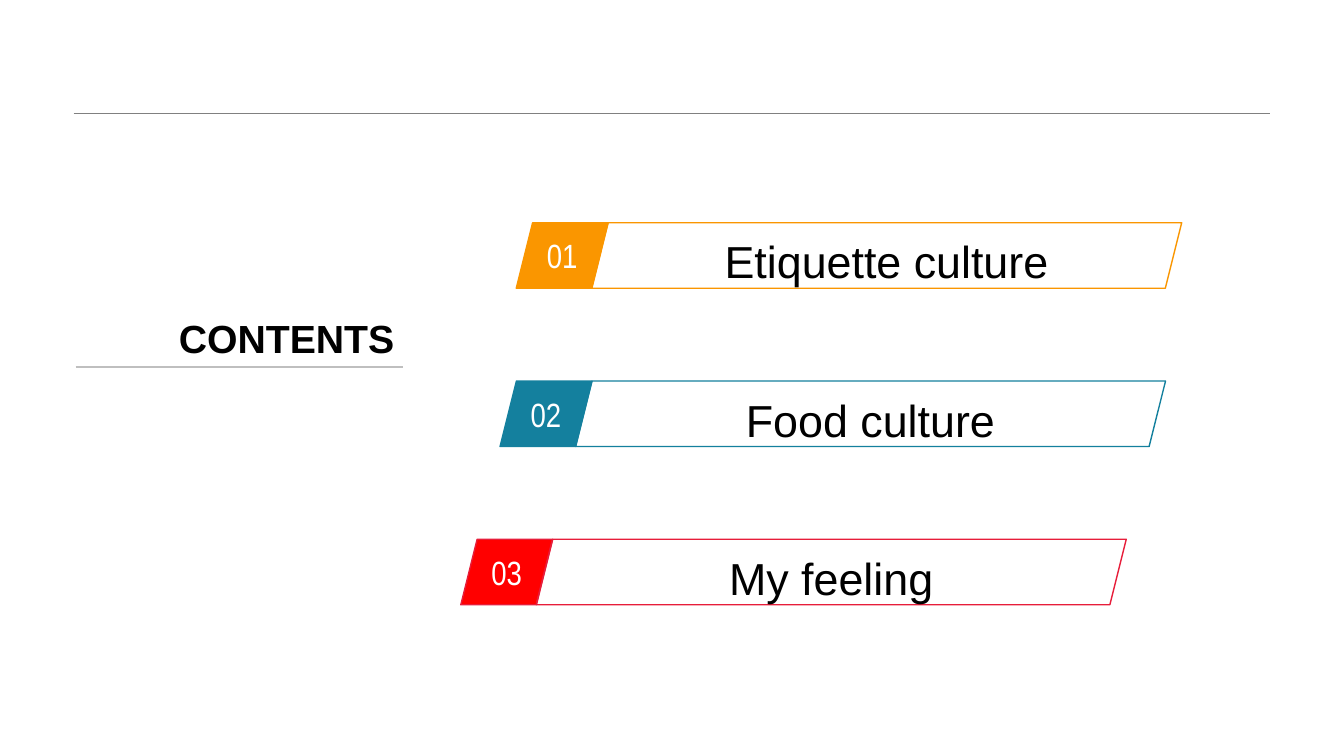
import pptx
import pptx.dml.color
import pptx.enum.shapes
import pptx.enum.text
import pptx.oxml.ns
import pptx.util
from lxml import etree

Inches = pptx.util.Inches
Pt = pptx.util.Pt
ALIGN = pptx.enum.text.PP_ALIGN
ANCHOR = pptx.enum.text.MSO_ANCHOR
PARALLELOGRAM = pptx.enum.shapes.MSO_SHAPE.PARALLELOGRAM
STRAIGHT = pptx.enum.shapes.MSO_CONNECTOR.STRAIGHT

FIRST_TOP, ROW_STEP, BAR_HEIGHT = 2.21, 1.57, 0.65
NUMBER_WIDTH, LABEL_OFFSET, LABEL_WIDTH = 0.91, 0.75, 5.85


def rgb(value):
    return pptx.dml.color.RGBColor.from_string(value)


def style_text(shape, text, font_name, size, color, align):
    """Fill a shape with one paragraph and return that paragraph."""
    shape.text_frame.text = text
    para = shape.text_frame.paragraphs[0]
    para.alignment = align
    para.font.name = font_name
    para.font.size = Pt(size)
    para.font.color.rgb = rgb(color)
    return para


deck = pptx.Presentation()
deck.slide_width, deck.slide_height = Inches(13.33), Inches(7.5)
page = deck.slides.add_slide(deck.slide_layouts[5])

# Header rule and the rule under the title
for left, right, y, color, width in [
    (0.73, 12.6, 1.12, "808080", 0.25),
    (0.75, 4, 3.64, "BFBFBF", 1.5),
]:
    rule = page.shapes.add_connector(
        STRAIGHT, Inches(left), Inches(y), Inches(right), Inches(y))
    rule.line.color.rgb = rgb(color)
    rule.line.width = Pt(width)
    etree.SubElement(rule._element.spPr, pptx.oxml.ns.qn("a:effectLst"))

title = page.shapes.title
title.left, title.top = Inches(1.62), Inches(2.54)
title.width, title.height = Inches(2.39), Inches(1.1)
heading = style_text(title, "CONTENTS", "Arial", 28, "000000", ALIGN.RIGHT)
heading.font.bold = True
title.text_frame.auto_size = pptx.enum.text.MSO_AUTO_SIZE.NONE
title.text_frame.word_wrap = False
title.text_frame.vertical_anchor = ANCHOR.BOTTOM

# Numbered bars
topics = [
    ("Etiquette culture", 5.12, "FA9600", "FA9600"),
    ("Food culture", 4.96, "14809E", "14809E"),
    ("My feeling", 4.57, "FF0000", "E71D3A"),
]
for row, (topic, left, fill, outline) in enumerate(topics):
    top = Inches(FIRST_TOP + row * ROW_STEP)
    number = page.shapes.add_shape(
        PARALLELOGRAM, Inches(left), top, Inches(NUMBER_WIDTH), Inches(BAR_HEIGHT))
    number.fill.solid()
    number.fill.fore_color.rgb = rgb(fill)
    style_text(number, f"{row + 1:02}", "Arial Narrow", 24, "FFFFFF", ALIGN.CENTER)
    number.text_frame.word_wrap = False

    label = page.shapes.add_shape(
        PARALLELOGRAM, Inches(left + LABEL_OFFSET), top,
        Inches(LABEL_WIDTH), Inches(BAR_HEIGHT))
    label.fill.background()
    para = style_text(label, topic, "Arial", 32, "000000", ALIGN.CENTER)
    para.line_spacing = 1.2
    label.text_frame.word_wrap = True

    for box in (number, label):
        box.shadow.inherit = False
        box.line.color.rgb = rgb(outline)
        box.line.width = Pt(1)
        box.text_frame.vertical_anchor = ANCHOR.MIDDLE

deck.save("out.pptx")
